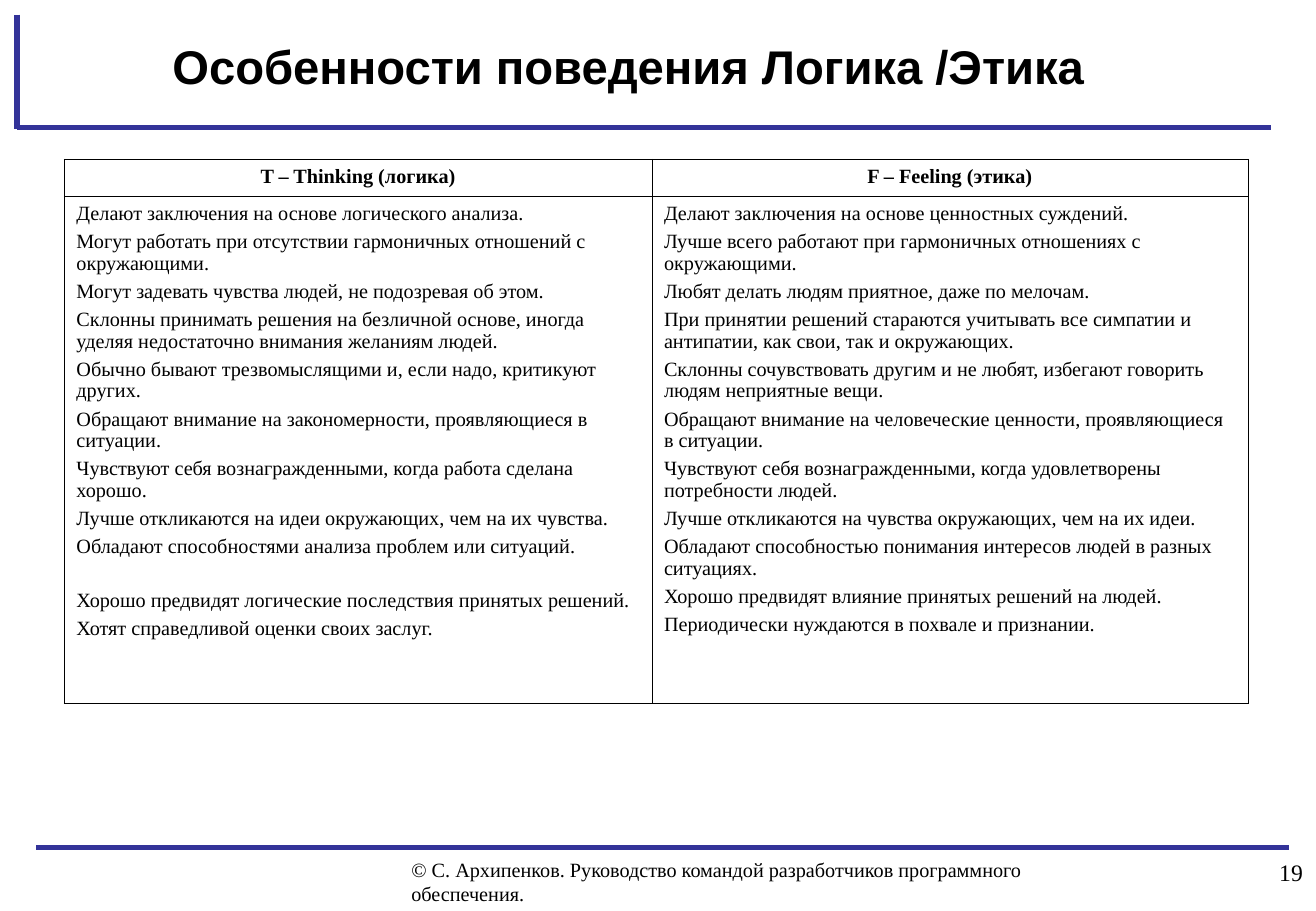
from dataclasses import dataclass

from lxml import etree
from pptx import Presentation
from pptx.dml.color import RGBColor
from pptx.enum.shapes import MSO_CONNECTOR
from pptx.enum.text import MSO_ANCHOR, MSO_AUTO_SIZE, PP_ALIGN
from pptx.oxml.ns import qn
from pptx.util import Emu, Inches, Pt

STRAIGHT = MSO_CONNECTOR.STRAIGHT
MIDDLE = MSO_ANCHOR.MIDDLE
NO_AUTOFIT = MSO_AUTO_SIZE.NONE
LEFT, CENTER, RIGHT = PP_ALIGN.LEFT, PP_ALIGN.CENTER, PP_ALIGN.RIGHT

BLACK = RGBColor(0x00, 0x00, 0x00)
INDIGO = RGBColor(0x33, 0x33, 0x99)
SERIF = "Times New Roman"
SANS = "Arial"
SLIDE_WIDTH, SLIDE_HEIGHT = Inches(10.84), Inches(7.5)
BORDER_WIDTH = Pt(0.45)
TRAIT_GAP = 3.7
WIDE_TRAIT_GAP = 18.7


@dataclass(frozen=True)
class Area:
    """Place on the slide in percent of its width and height."""
    left: float
    top: float
    width: float
    height: float

    def box(self) -> tuple[Emu, Emu, Emu, Emu]:
        return across(self.left), down(self.top), across(self.width), down(self.height)


@dataclass(frozen=True)
class Rule:
    x1: float
    y1: float
    x2: float
    y2: float


@dataclass(frozen=True)
class TextStyle:
    size: float
    font: str = SERIF
    bold: bool = False
    align: PP_ALIGN = LEFT


@dataclass(frozen=True)
class Caption:
    text: str
    area: Area
    style: TextStyle


@dataclass(frozen=True)
class Temperament:
    heading: str
    width: float
    traits: tuple[str, ...]
    wide_gap_after: int | None = None


TITLE = Caption("Особенности поведения Логика /Этика",
                Area(12.18, 1.6, 82.93, 11.2), TextStyle(28, SANS, True))
FOOTERS = (
    Caption("© С. Архипенков. Руководство командой разработчиков программного обеспечения.",
            Area(30.35, 93.47, 52.77, 6.53), TextStyle(12)),
    Caption("19", Area(87.73, 93.47, 12.18, 6.53), TextStyle(14, align=RIGHT)),
)
RULES = (
    Rule(2.77, 93.07, 97.97, 93.07),
    Rule(1.29, 14, 96.59, 14),
    Rule(1.29, 1.6, 1.29, 14.13),
)
TABLE_AREA = Area(4.89, 17.47, 89.94, 59.73)
ROW_HEIGHTS = (4.13, 55.6)
HEADING_STYLE = TextStyle(12, bold=True, align=CENTER)
TRAIT_STYLE = TextStyle(12)
TEMPERAMENTS = (
    Temperament("T – Thinking (логика)", 44.65, (
        "Делают заключения на основе логического анализа.",
        "Могут работать при отсутствии гармоничных отношений с окружающими.",
        "Могут задевать чувства людей, не подозревая об этом.",
        "Склонны принимать решения на безличной основе, иногда уделяя недостаточно внимания желаниям людей.",
        "Обычно бывают трезвомыслящими и, если надо, критикуют других.",
        "Обращают внимание на закономерности, проявляющиеся в ситуации.",
        "Чувствуют себя вознагражденными, когда работа сделана хорошо.",
        "Лучше откликаются на идеи окружающих, чем на их чувства.",
        "Обладают способностями анализа проблем или ситуаций.",
        "Хорошо предвидят логические последствия принятых решений.",
        "Хотят справедливой оценки своих заслуг.",
    ), wide_gap_after=8),
    Temperament("F – Feeling (этика)", 45.29, (
        "Делают заключения на основе ценностных суждений.",
        "Лучше всего работают при гармоничных отношениях с окружающими.",
        "Любят делать людям приятное, даже по мелочам.",
        "При принятии решений стараются учитывать все симпатии и антипатии, как свои, так и окружающих.",
        "Склонны сочувствовать другим и не любят, избегают говорить людям неприятные вещи.",
        "Обращают внимание на человеческие ценности, проявляющиеся в ситуации.",
        "Чувствуют себя вознагражденными, когда удовлетворены потребности людей.",
        "Лучше откликаются на чувства окружающих, чем на их идеи.",
        "Обладают способностью понимания интересов людей в разных ситуациях.",
        "Хорошо предвидят влияние принятых решений на людей.",
        "Периодически нуждаются в похвале и признании.",
    )),
)


def across(percent: float) -> Emu:
    return Emu(round(SLIDE_WIDTH * percent / 100))


def down(percent: float) -> Emu:
    return Emu(round(SLIDE_HEIGHT * percent / 100))


def write(frame, text: str, style: TextStyle) -> None:
    frame.text = text
    frame.word_wrap = True
    for paragraph in frame.paragraphs:
        paragraph.alignment = style.align
        for run in paragraph.runs:
            run.font.name = style.font
            run.font.size = Pt(style.size)
            run.font.bold = style.bold
            run.font.color.rgb = BLACK


def draw_rule(slide, rule: Rule) -> None:
    line = slide.shapes.add_connector(
        STRAIGHT, across(rule.x1), down(rule.y1), across(rule.x2), down(rule.y2))
    line.line.color.rgb = INDIGO
    line.line.width = Pt(3)
    etree.SubElement(line._element.spPr, qn("a:effectLst"))


def draw_title(slide, caption: Caption) -> None:
    title = slide.shapes.title
    title.left, title.top, title.width, title.height = caption.area.box()
    write(title.text_frame, caption.text, caption.style)
    title.text_frame.auto_size = NO_AUTOFIT
    title.text_frame.vertical_anchor = MIDDLE


def draw_caption(slide, caption: Caption) -> None:
    write(slide.shapes.add_textbox(*caption.area.box()).text_frame,
          caption.text, caption.style)


def outline(cell) -> None:
    cell.fill.background()
    properties = cell._tc.get_or_add_tcPr()
    for position, side in enumerate(("lnL", "lnR", "lnT", "lnB")):
        border = etree.Element(qn(f"a:{side}"), w=str(BORDER_WIDTH))
        fill = etree.SubElement(border, qn("a:solidFill"))
        etree.SubElement(fill, qn("a:srgbClr"), val=str(BLACK))
        properties.insert(position, border)


def draw_table(slide, temperaments: tuple[Temperament, ...]) -> None:
    table = slide.shapes.add_table(
        len(ROW_HEIGHTS), len(temperaments), *TABLE_AREA.box()).table
    table.first_row = table.horz_banding = False
    for row, height in zip(table.rows, ROW_HEIGHTS):
        row.height = down(height)
    for index, temperament in enumerate(temperaments):
        table.columns[index].width = across(temperament.width)
        heading, traits = table.cell(0, index), table.cell(1, index)
        write(heading.text_frame, temperament.heading, HEADING_STYLE)
        write(traits.text_frame, "\n".join(temperament.traits), TRAIT_STYLE)
        for number, paragraph in enumerate(traits.text_frame.paragraphs):
            wide = number == temperament.wide_gap_after
            paragraph.space_after = Pt(WIDE_TRAIT_GAP if wide else TRAIT_GAP)
            paragraph.line_spacing = 0.97
        outline(heading)
        outline(traits)


def main() -> None:
    presentation = Presentation()
    presentation.slide_width, presentation.slide_height = SLIDE_WIDTH, SLIDE_HEIGHT
    slide = presentation.slides.add_slide(presentation.slide_layouts[5])
    for rule in RULES:
        draw_rule(slide, rule)
    for footer in FOOTERS:
        draw_caption(slide, footer)
    draw_title(slide, TITLE)
    draw_table(slide, TEMPERAMENTS)
    presentation.save("out.pptx")


if __name__ == "__main__":
    main()
